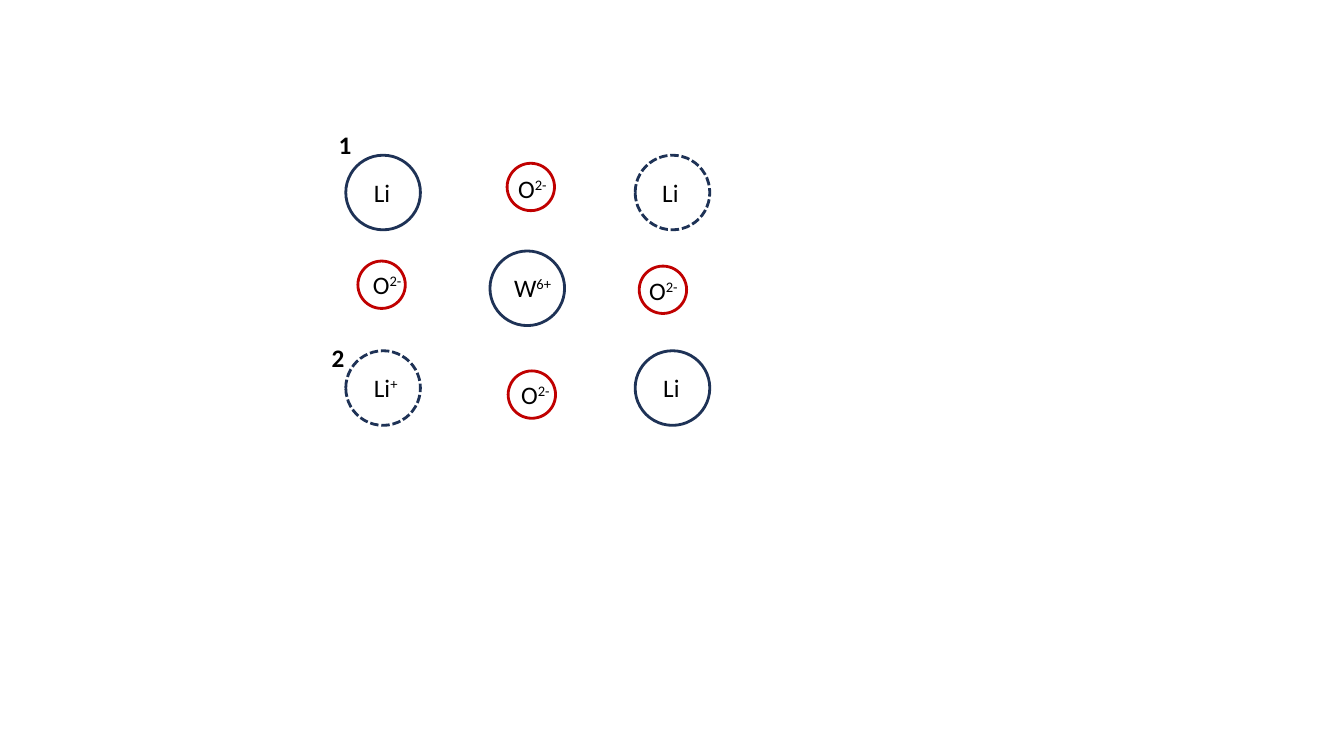
from dataclasses import dataclass

from pptx import Presentation
from pptx.dml.color import RGBColor
from pptx.enum.dml import MSO_LINE_DASH_STYLE as Dash
from pptx.enum.shapes import MSO_SHAPE as Shape
from pptx.enum.text import MSO_AUTO_SIZE as AutoSize
from pptx.util import Inches, Pt

NAVY = RGBColor(0x1E, 0x32, 0x56)
RED = RGBColor(0xC0, 0x00, 0x00)
BLACK = RGBColor(0x00, 0x00, 0x00)
CATION, ANION = 0.74, 0.47
LEFT, RIGHT = 3.43, 6.3
TOP, BOTTOM = 1.54, 3.48


@dataclass(frozen=True)
class Label:
    x: float
    y: float
    width: float
    text: str
    charge: str = ""
    bold: bool = False


@dataclass(frozen=True)
class Ion:
    x: float
    y: float
    size: float
    color: RGBColor
    label: Label
    dashed: bool = False


def lithium(x: float, y: float, label: Label, dashed: bool = False) -> Ion:
    return Ion(x, y, CATION, NAVY, label, dashed)


def oxide(x: float, y: float, label_x: float, label_y: float) -> Ion:
    return Ion(x, y, ANION, RED, Label(label_x, label_y, 0.51, "O", "2-"))


IONS = [
    lithium(LEFT, TOP, Label(3.61, 1.71, 0.37, "Li")),
    lithium(RIGHT, TOP, Label(6.47, 1.71, 0.37, "Li"), dashed=True),
    lithium(LEFT, BOTTOM, Label(3.61, 3.64, 0.45, "Li", "+"), dashed=True),
    lithium(RIGHT, BOTTOM, Label(6.48, 3.64, 0.37, "Li")),
    Ion(4.86, 2.49, CATION, NAVY, Label(5, 2.65, 0.6, "W", "6+")),
    oxide(3.55, 2.59, 3.6, 2.62),
    oxide(6.34, 2.64, 6.34, 2.68),
    oxide(5.04, 3.68, 5.07, 3.71),
    oxide(5.03, 1.62, 5.04, 1.67),
]
SITE_NUMBERS = [
    Label(3.26, 1.23, 0.33, "1", bold=True),
    Label(3.19, 3.35, 0.33, "2", bold=True),
]


def draw_circle(s, ion: Ion) -> None:
    sp = s.shapes.add_shape(Shape.OVAL, Inches(ion.x), Inches(ion.y),
                            Inches(ion.size), Inches(ion.size))
    sp.shadow.inherit = False
    sp.fill.background()
    sp.line.color.rgb = ion.color
    sp.line.width = Pt(2)
    if ion.dashed:
        sp.line.dash_style = Dash.SQUARE_DOT
        sp.line._ln.prstDash.set("val", "sysDash")


def draw_label(s, label: Label) -> None:
    sp = s.shapes.add_textbox(Inches(label.x), Inches(label.y),
                              Inches(label.width), Inches(0.4))
    tf = sp.text_frame
    tf.word_wrap = False
    tf.auto_size = AutoSize.SHAPE_TO_FIT_TEXT
    p = tf.paragraphs[0]
    for text, baseline in ((label.text, 0), (label.charge, 30000)):
        if not text:
            continue
        r = p.add_run()
        r.text = text
        r.font.name = "Calibri"
        r.font.size = Pt(18)
        r.font.bold = label.bold
        r.font.color.rgb = BLACK
        if baseline:
            r.font._element.set("baseline", str(baseline))


prs = Presentation()
prs.slide_width, prs.slide_height = Inches(13.33), Inches(7.5)
s = prs.slides.add_slide(prs.slide_layouts[6])

for ion in IONS:
    draw_circle(s, ion)
for label in [ion.label for ion in IONS] + SITE_NUMBERS:
    draw_label(s, label)

prs.save("out.pptx")
